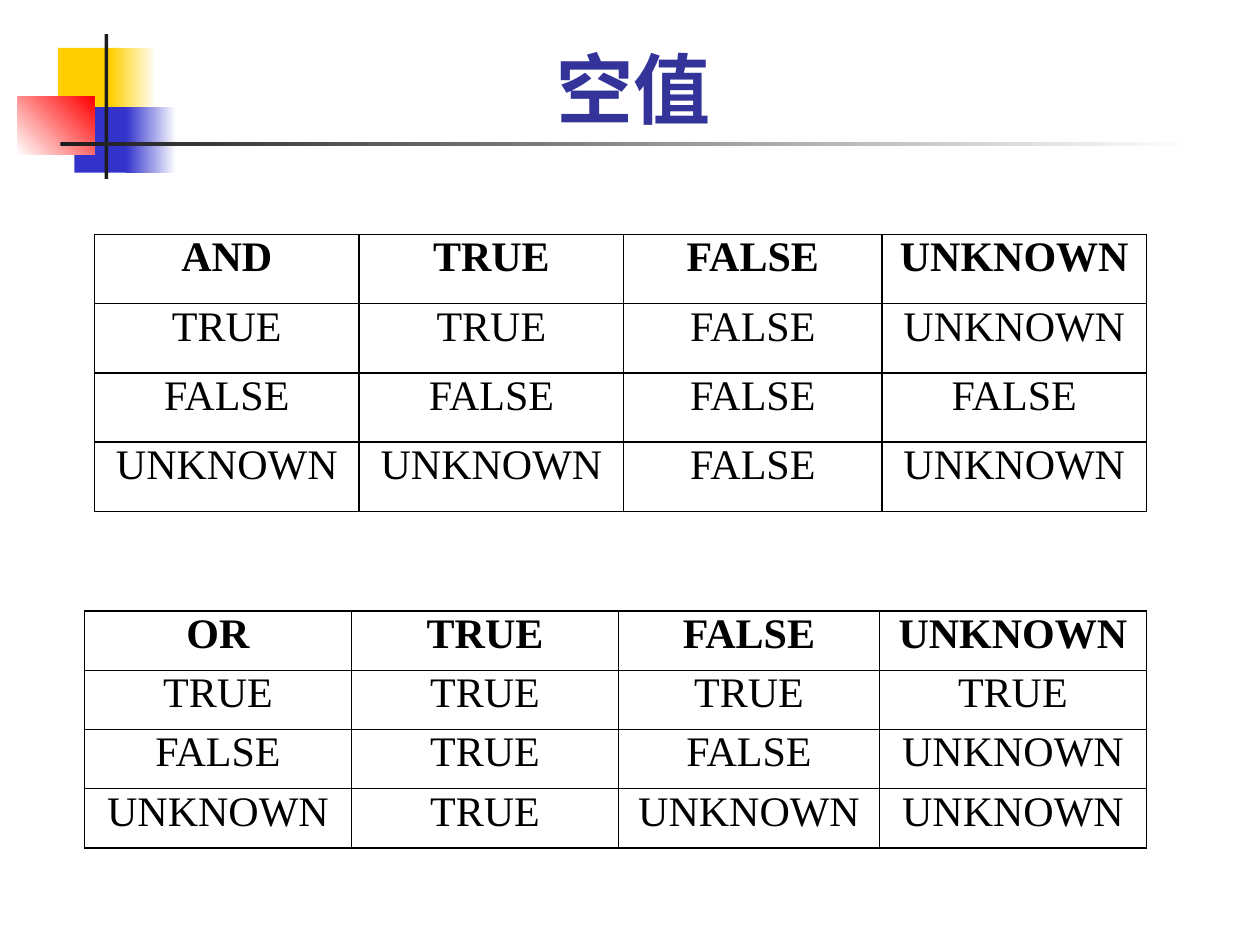
from collections.abc import Callable
from dataclasses import dataclass

from lxml.etree import SubElement
from pptx import Presentation
from pptx.dml.color import RGBColor
from pptx.enum.shapes import MSO_SHAPE
from pptx.enum.text import MSO_ANCHOR, PP_ALIGN
from pptx.oxml import parse_xml
from pptx.oxml.ns import nsdecls, qn
from pptx.slide import Slide
from pptx.table import _Cell
from pptx.text.text import TextFrame
from pptx.util import Inches, Pt


@dataclass(frozen=True)
class Theme:
    white: str = "FFFFFF"
    yellow: str = "FFCF01"
    blue: str = "3333CC"
    red: str = "FF0000"
    charcoal: str = "1C1C1C"
    title: str = "333399"
    ink: str = "000000"
    title_font: str = "Roboto"
    table_font: str = "Times New Roman"
    title_size: int = 44
    table_size: int = 24
    border_width: int = 1


@dataclass(frozen=True)
class Block:
    left: float
    top: float
    width: float
    height: float
    color: str
    end_color: str | None = None
    angle: int = 0


@dataclass(frozen=True)
class TruthTable:
    operator: str
    combine: Callable[..., str]
    left: float
    top: float
    row_height: float
    column_widths: tuple[float, ...]


THEME = Theme()
TRUTH_VALUES = ("TRUE", "FALSE", "UNKNOWN")
TRUTH_RANK = {"FALSE": 0, "UNKNOWN": 1, "TRUE": 2}

BLOCKS = (
    Block(0.46, 0.38, 0.48, 0.52, THEME.yellow),
    Block(0.88, 0.38, 0.36, 0.52, THEME.yellow, THEME.white),
    Block(0.59, 0.85, 0.46, 0.52, THEME.blue),
    Block(1, 0.85, 0.4, 0.52, THEME.blue, THEME.white),
    Block(0.14, 0.77, 0.61, 0.46, THEME.white, THEME.red, 45),
    Block(0.83, 0.27, 0.03, 1.15, THEME.charcoal),
    Block(0.48, 1.13, 9, 0.03, THEME.charcoal, THEME.white),
)

TRUTH_TABLES = (
    TruthTable("AND", min, 0.75, 1.86, 0.55, (2.1, 2.1, 2.05, 2.1)),
    TruthTable("OR", max, 0.67, 4.85, 0.47, (2.12, 2.12, 2.07, 2.12)),
)


def write_text(frame: TextFrame, text: str, *, font: str, size: int,
               color: str, bold: bool) -> None:
    paragraph = frame.paragraphs[0]
    paragraph.alignment = PP_ALIGN.CENTER
    run = paragraph.add_run()
    run.text = text
    run.font.name = font
    run.font.size = Pt(size)
    run.font.bold = bold
    run.font.color.rgb = RGBColor.from_string(color)


def draw_block(slide: Slide, block: Block) -> None:
    shape = slide.shapes.add_shape(
        MSO_SHAPE.RECTANGLE, Inches(block.left), Inches(block.top),
        Inches(block.width), Inches(block.height))
    shape.shadow.inherit = False
    shape.line.fill.background()
    if block.end_color is None:
        shape.fill.solid()
        shape.fill.fore_color.rgb = RGBColor.from_string(block.color)
        return
    shape.fill.gradient()
    shape.fill.gradient_angle = block.angle
    for stop, color in zip(shape.fill.gradient_stops, (block.color, block.end_color)):
        stop.color.rgb = RGBColor.from_string(color)


def draw_title(slide: Slide, text: str) -> None:
    title = slide.shapes.title
    title.left, title.top = Inches(0.39), Inches(0.18)
    title.width, title.height = Inches(9.28), Inches(0.93)
    title.text_frame.vertical_anchor = MSO_ANCHOR.BOTTOM
    write_text(title.text_frame, text, font=THEME.title_font,
               size=THEME.title_size, color=THEME.title, bold=True)


def add_borders(cell: _Cell) -> None:
    properties = cell._tc.get_or_add_tcPr()
    for position, side in enumerate(("lnL", "lnR", "lnT", "lnB")):
        border = parse_xml(f'<a:{side} {nsdecls("a")} w="{Pt(THEME.border_width)}"/>')
        fill = SubElement(border, qn("a:solidFill"))
        SubElement(fill, qn("a:srgbClr"), val=THEME.ink)
        properties.insert(position, border)


def write_cell(cell: _Cell, text: str, *, bold: bool) -> None:
    cell.fill.background()
    cell.margin_left = cell.margin_right = Inches(0.07)
    cell.margin_top = cell.margin_bottom = 0
    cell.vertical_anchor = MSO_ANCHOR.TOP
    write_text(cell.text_frame, text, font=THEME.table_font,
               size=THEME.table_size, color=THEME.ink, bold=bold)
    add_borders(cell)


def truth_rows(truth_table: TruthTable) -> list[tuple[str, ...]]:
    header = (truth_table.operator, *TRUTH_VALUES)
    body = [
        (first, *(truth_table.combine(first, second, key=TRUTH_RANK.get)
                  for second in TRUTH_VALUES))
        for first in TRUTH_VALUES
    ]
    return [header, *body]


def draw_truth_table(slide: Slide, truth_table: TruthTable) -> None:
    rows = truth_rows(truth_table)
    widths = truth_table.column_widths
    table = slide.shapes.add_table(
        len(rows), len(widths), Inches(truth_table.left), Inches(truth_table.top),
        Inches(sum(widths)), Inches(truth_table.row_height * len(rows))).table
    table.first_row = False
    table.horz_banding = False
    for column, width in zip(table.columns, widths):
        column.width = Inches(width)
    for row_index, values in enumerate(rows):
        table.rows[row_index].height = Inches(truth_table.row_height)
        for column_index, value in enumerate(values):
            write_cell(table.cell(row_index, column_index), value, bold=row_index == 0)


def main() -> None:
    presentation = Presentation()
    presentation.slide_width = Inches(10)
    presentation.slide_height = Inches(7.5)
    slide = presentation.slides.add_slide(presentation.slide_layouts[5])
    for block in BLOCKS:
        draw_block(slide, block)
    draw_title(slide, "空值")
    for truth_table in TRUTH_TABLES:
        draw_truth_table(slide, truth_table)
    presentation.save("out.pptx")


if __name__ == "__main__":
    main()
